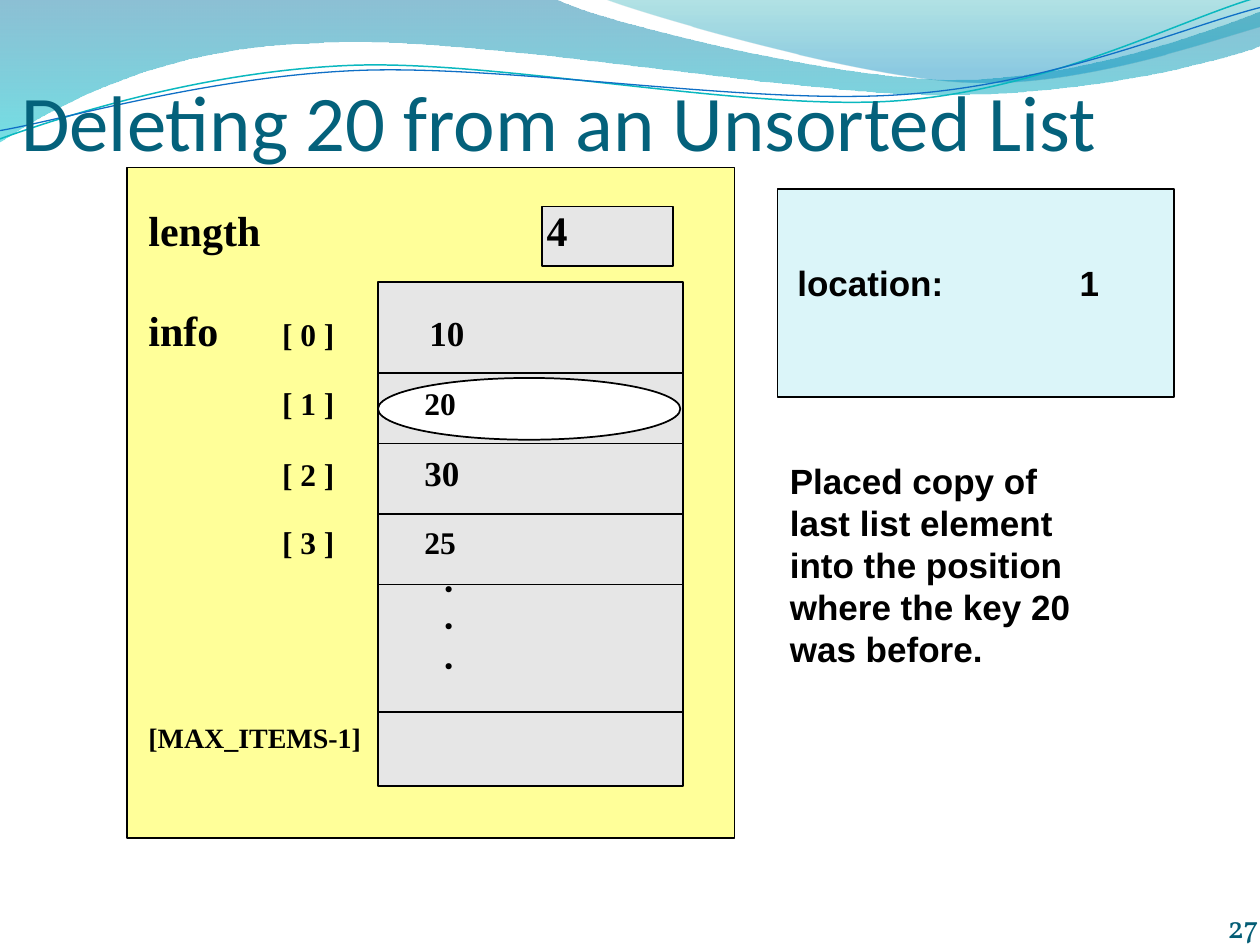
import pptx
import pptx.dml.color
import pptx.enum.shapes
import pptx.enum.text
import pptx.oxml.ns
import pptx.util
from lxml import etree

Inches = pptx.util.Inches
Pt = pptx.util.Pt
qn = pptx.oxml.ns.qn
Shapes = pptx.enum.shapes.MSO_SHAPE
Anchor = pptx.enum.text.MSO_ANCHOR
Align = pptx.enum.text.PP_ALIGN

COLORS = {name: pptx.dml.color.RGBColor.from_string(value) for name, value in {
    "black": "000000", "white": "FFFFFF", "title": "04617B", "number": "045D75",
    "list": "FFFF99", "cell": "E6E6E6", "location": "DBF5F9",
    "deep": "0074A1", "cyan": "00C6CF", "teal": "00A1A9", "sky": "008BBF",
    "teal line": "0AB8BF", "blue line": "0F6FC6"}.items()}

presentation = pptx.Presentation()
presentation.slide_width = Inches(10)
presentation.slide_height = Inches(7.5)
slide = presentation.slides.add_slide(presentation.slide_layouts[6])


def add_wave(start, steps, closed):
    """Trace steps of 2 (line) or 6 (cubic curve) coordinates in inches."""
    points = [pair for step in steps for pair in zip(step[::2], step[1::2])]
    builder = slide.shapes.build_freeform(Inches(start[0]), Inches(start[1]), scale=1.0)
    builder.add_line_segments([(Inches(x), Inches(y)) for x, y in points], close=closed)
    wave = builder.convert_to_shape()
    wave.shadow.inherit = False
    # Join the three points of each curve step into one cubic segment
    segments = iter(list(wave._element.spPr.iter(qn("a:lnTo"))))
    for step in steps:
        group = [next(segments) for _ in step[::2]]
        if len(group) == 3:
            curve = etree.Element(qn("a:cubicBezTo"))
            group[0].addprevious(curve)
            for segment in group:
                curve.append(segment[0])
                segment.getparent().remove(segment)
    return wave


def add_text(place, paragraphs, frame_format, font_format, color):
    """Add a text box; a paragraph is (runs, format, tab stops), a run (text, font)."""
    frame = slide.shapes.add_textbox(*map(Inches, place)).text_frame
    for name, value in {"word_wrap": True, **frame_format}.items():
        setattr(frame, name, value)
    for index, (runs, paragraph_format, tabs) in enumerate(paragraphs):
        paragraph = frame.add_paragraph() if index else frame.paragraphs[0]
        if tabs:
            tab_list = etree.SubElement(paragraph._p.get_or_add_pPr(), qn("a:tabLst"))
            for tab in tabs:
                etree.SubElement(tab_list, qn("a:tab"), pos=str(Inches(tab)), algn="l")
        for name, value in paragraph_format.items():
            setattr(paragraph, name, value)
        for text, run_format in runs:
            run = paragraph.add_run()
            run.text = text
            for name, value in {**font_format, **run_format}.items():
                setattr(run.font, name, value)
            run.font.color.rgb = COLORS[color]


# Header waves with translucent gradients
for start, steps, stops in (
    ((0, 0), [(4.4, -0.01), (4.76, 0.17, 6.64, 0.63, 7.58, 0.63),
              (8.53, 0.63, 9.58, 0.26, 10, 0.09), (10.01, 0.36),
              (9.83, 0.44, 8.7, 0.76, 7.46, 0.75), (6.22, 0.75, 3.82, 0.28, 2.57, 0.34),
              (1.29, 0.36, 0.46, 0.83, -0.01, 1.13)],
     [(0, "deep", 45), (1, "cyan", 55)]),
    ((4.79, -0.01), [(5.09, 0.11, 6.82, 0.62, 7.69, 0.65),
                     (8.56, 0.69, 9.61, 0.32, 10, 0.21), (10, 0)],
     [(0, "teal", 30), (0.8, "sky", 45)]),
):
    wave = add_wave(start, steps, True)
    wave.line.fill.background()
    wave.fill.gradient()
    wave.fill.gradient_angle = 270
    for stop, (position, color, opacity) in zip(wave.fill.gradient_stops, stops):
        stop.position = position
        stop.color.rgb = COLORS[color]
    for tint, (position, color, opacity) in zip(
            wave._element.spPr.iter(qn("a:srgbClr")), stops):
        etree.SubElement(tint, qn("a:alpha"), val=str(opacity * 1000))

# Header wave lines
for start, steps, color, width in (
    ((-0.02, 1.11), [(0.48, 0.93, 1.58, 0.57, 2.77, 0.52), (3.95, 0.47, 5.93, 0.89, 7.13, 0.8),
                     (8.33, 0.71, 9.38, 0.15, 9.98, -0.02)], "teal line", 0.85),
    ((-0.02, 1.04), [(0.47, 0.96, 1.64, 0.61, 2.83, 0.56), (4.03, 0.51, 5.97, 0.84, 7.17, 0.75),
                     (8.36, 0.67, 9.41, 0.21, 10, 0.06)], "blue line", 0.75),
):
    wave = add_wave(start, steps, False)
    wave.fill.background()
    wave.line.color.rgb = COLORS[color]
    wave.line.width = Pt(width)

# Title and slide number
flush = {"margin_left": 0, "margin_right": 0, "margin_top": 0, "margin_bottom": 0,
         "vertical_anchor": Anchor.BOTTOM}
add_text((0.17, 0.58, 9.5, 0.75), [([("Deleting 20 from an Unsorted List", {})], {}, [])],
         {**flush, "margin_top": Inches(0.05)}, {"size": Pt(45), "name": "Calibri"}, "title")
add_text((7.91, 7, 2.08, 0.5), [([("27", {})], {"alignment": Align.RIGHT}, [])],
         flush, {"size": Pt(18), "name": "Vollkorn"}, "number")

# Location panel, list panel, length cell, info array, ellipse on the replaced item
for kind, place, color in (
    (Shapes.RECTANGLE, (6.17, 1.5, 3.15, 1.65), "location"),
    (Shapes.RECTANGLE, (1.01, 1.33, 4.82, 5.32), "list"),
    (Shapes.RECTANGLE, (4.3, 1.64, 1.04, 0.47), "cell"),
    (Shapes.RECTANGLE, (3, 2.24, 2.42, 4), "cell"),
    (Shapes.OVAL, (3, 3, 2.4, 0.49), "white"),
):
    panel = slide.shapes.add_shape(kind, *map(Inches, place))
    panel.shadow.inherit = False
    panel.fill.solid()
    panel.fill.fore_color.rgb = COLORS[color]
    panel.line.color.rgb = COLORS["black"]
    panel.line.width = Pt(1)

# Array dividers
for y in [2.96 + 0.56 * row for row in range(4)] + [5.65]:
    divider = slide.shapes.add_connector(
        pptx.enum.shapes.MSO_CONNECTOR.STRAIGHT, Inches(3), Inches(y), Inches(5.43), Inches(y))
    divider.line.color.rgb = COLORS["black"]
    divider.line.width = Pt(1)
    etree.SubElement(divider._element.spPr, qn("a:effectLst"))

# List contents: length, indexed items, dots, last index
columns = [1.06, 2.19]
big, item, small = {"size": Pt(24)}, {"size": Pt(20)}, {"size": Pt(16)}
row_gap = {"space_before": Pt(16.8)}
dot = [("\t.", {"name": "Montserrat"})]
add_text((1.08, 1.57, 5.25, 4.81), [
    ([("length\t4", big)], {}, [3.16]),
    ([("info", big), ("\t[ 0 ]\t", {}), ("10", item)], {"space_before": Pt(28.5)}, [1.06, 2.23]),
    ([("\t[ 1 ]\t20", {})], row_gap, columns),
    ([("\t[ 2 ]\t", {}), ("30", item)], row_gap, columns),
    ([("\t[ 3 ]\t25", {})], row_gap, columns),
    (dot, {}, [2.35]),
    (dot, {}, [2.35]),
    (dot, {"space_before": Pt(1.2)}, [2.35]),
    ([("[MAX_ITEMS-1]", small)], {"space_before": Pt(25.4)}, []),
], {}, {"size": Pt(18), "name": "Times New Roman", "bold": True}, "black")

# Location value and explanation
arial = {"size": Pt(20), "name": "Arial", "bold": True}
add_text((6.23, 1.69, 2.82, 0.77), [([("location:\t1", {})], {}, [2.24])],
         {"vertical_anchor": Anchor.BOTTOM}, arial, "black")
add_text((6.17, 3.6, 3.82, 1.78), [
    ([(line, {})], {}, []) for line in (
        "Placed copy of", "last list element", "into the position",
        "where the key 20", "was before.")], {}, arial, "black")

presentation.save("out.pptx")
